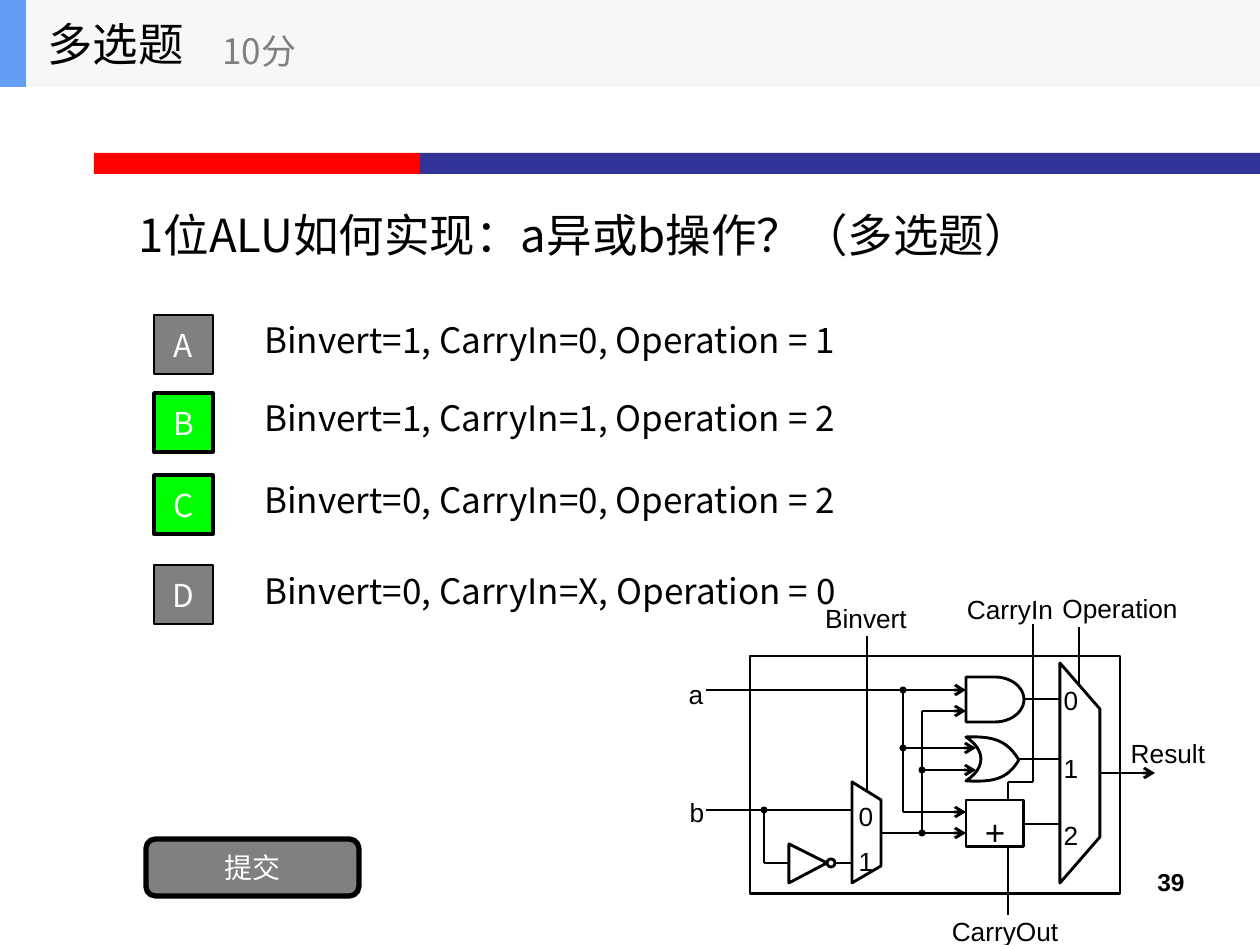
from dataclasses import dataclass

from lxml import etree
from pptx import Presentation
from pptx.dml.color import RGBColor
from pptx.enum.shapes import MSO_CONNECTOR, MSO_SHAPE
from pptx.enum.text import MSO_ANCHOR, MSO_AUTO_SIZE, PP_ALIGN
from pptx.oxml.ns import qn
from pptx.util import Emu, Pt

RECT, ROUND = MSO_SHAPE.RECTANGLE, MSO_SHAPE.ROUNDED_RECTANGLE
OVAL, AND_GATE = MSO_SHAPE.OVAL, MSO_SHAPE.FLOWCHART_DELAY
STRAIGHT = MSO_CONNECTOR.STRAIGHT
TOP, MIDDLE = MSO_ANCHOR.TOP, MSO_ANCHOR.MIDDLE
LEFT, CENTER, RIGHT = PP_ALIGN.LEFT, PP_ALIGN.CENTER, PP_ALIGN.RIGHT
GROW = MSO_AUTO_SIZE.SHAPE_TO_FIT_TEXT
EMU_PER_PX = 914400 / 126


@dataclass(frozen=True)
class Theme:
    cjk: str = "Noto Sans CJK SC"
    latin: str = "Arial"
    ink: str = "000000"
    white: str = "FFFFFF"
    grey: str = "808080"
    correct: str = "00FF00"
    red: str = "FF0000"
    navy: str = "333399"
    header: str = "F6F7F8"
    accent: str = "639EF4"
    heading: int = 26
    body: int = 20
    badge: int = 18
    button: int = 16
    label: int = 15
    page: int = 14
    wire: float = 1.63


THEME = Theme()


def px(value):
    return Emu(round(value * EMU_PER_PX))


def paint(shape, fill=None, line=None, width=1):
    shape.shadow.inherit = False
    if fill:
        shape.fill.solid()
        shape.fill.fore_color.rgb = RGBColor.from_string(fill)
    else:
        shape.fill.background()
    if line:
        shape.line.color.rgb = RGBColor.from_string(line)
        shape.line.width = Pt(width)
    else:
        shape.line.fill.background()


def add_box(shapes, kind, box, fill=None, line=None, width=1):
    shape = shapes.add_shape(kind, *map(px, box))
    paint(shape, fill, line, width)
    return shape


def write(shape, text, size, color=THEME.ink, font=THEME.cjk, align=LEFT,
          anchor=MIDDLE, bold=False):
    frame = shape.text_frame
    frame.text = text
    frame.vertical_anchor = anchor
    paragraph = frame.paragraphs[0]
    paragraph.alignment = align
    run = paragraph.runs[0]
    run.font.size, run.font.bold, run.font.name = Pt(size), bold, font
    run.font.color.rgb = RGBColor.from_string(color)
    east_asian = etree.SubElement(run.font._element, qn("a:ea"))
    east_asian.set("typeface", font)
    return paragraph


def add_text(shapes, box, text, size, wrap=True, **style):
    area = shapes.add_textbox(*map(px, box))
    area.text_frame.word_wrap = wrap
    return write(area, text, size, **style)


def add_label(shapes, center, top, width, text, size=THEME.label):
    """Put a tight one-line caption around a centre x."""
    height = round(size * 2.13)
    area = shapes.add_textbox(*map(px, (center - width / 2, top, width, height)))
    frame = area.text_frame
    frame.margin_left = frame.margin_right = frame.margin_top = frame.margin_bottom = 0
    frame.word_wrap = False
    frame.auto_size = GROW
    write(area, text, size, font=THEME.latin, align=CENTER, anchor=TOP)


def add_wire(shapes, points, arrow=False):
    """Join the points with straight segments; the last may carry an arrowhead."""
    for start, end in zip(points, points[1:]):
        segment = shapes.add_connector(STRAIGHT, *map(px, (*start, *end)))
        segment.line.color.rgb = RGBColor.from_string(THEME.ink)
        segment.line.width = Pt(THEME.wire)
        etree.SubElement(segment._element.spPr, qn("a:effectLst"))
    if arrow:
        outline = segment._element.spPr.find(qn("a:ln"))
        etree.SubElement(outline, qn("a:tailEnd")).set("type", "arrow")


def add_outline(shapes, points):
    corners = [(px(x), px(y)) for x, y in points]
    builder = shapes.build_freeform(*corners[0])
    builder.add_line_segments(corners[1:], close=True)
    paint(builder.convert_to_shape(), line=THEME.ink, width=THEME.wire)


def bezier(a, b, c, d, steps=12):
    """Sample a cubic curve, leaving out its last point."""
    for i in range(steps):
        t = i / steps
        u = 1 - t
        yield tuple(u**3 * p + 3 * u * u * t * q + 3 * u * t * t * r + t**3 * s
                    for p, q, r, s in zip(a, b, c, d))


def draw_header(slide, left, top, width, height):
    shapes = slide.shapes.add_group_shape().shapes
    add_box(shapes, RECT, (left, top, width, height), THEME.header)
    add_box(shapes, RECT, (left, top, 26, height), THEME.accent)
    add_text(shapes, (left + 35, top, 262, height), "多选题", THEME.heading, wrap=False)
    add_text(shapes, (left + 210, top + 15, 315, 71), "10分", THEME.body,
             wrap=False, color=THEME.grey)


def draw_rule(slide, left, top, width, height):
    shapes = slide.shapes.add_group_shape().shapes
    red = 326
    add_box(shapes, RECT, (left, top, red, height), THEME.red)
    add_box(shapes, RECT, (left + red, top, width - red, height), THEME.navy)


def draw_option(slide, left, top, width, height, letter, answer, correct):
    add_text(slide.shapes, (left + 98, top, width - 98, height), answer,
             THEME.body).space_after = Pt(12)
    badge = add_box(slide.shapes, RECT, (left, top + 19, 59, 59),
                    THEME.correct if correct else THEME.grey, THEME.ink, 2 if correct else 1)
    write(badge, letter, THEME.badge, THEME.white, align=CENTER)


def draw_submit(slide, *box):
    button = add_box(slide.shapes, ROUND, box, THEME.grey, THEME.ink, 3)
    write(button, "提交", THEME.button, THEME.white, align=CENTER)


def draw_alu(slide, left, top, width, height):
    """Draw the one-bit ALU; its wires and captions reach beyond the chip box."""
    shapes = slide.shapes.add_group_shape().shapes

    def at(*points):
        return [(left + x, top + y) for x, y in points]

    def part(kind, x, y, w, h, fill=None):
        add_box(shapes, kind, (left + x, top + y, w, h), fill, THEME.ink, THEME.wire)

    part(RECT, 0, 0, width, height)
    part(OVAL, 77, 203, 8, 8)
    part(AND_GATE, 216, 21, 58, 45)
    part(RECT, 216, 144, 58, 47)

    inverter = [(39, 188), (77, 207), (39, 227)]
    invert_mux = [(102, 126), (131, 144), (131, 210), (102, 227)]
    result_mux = [(310, 7), (350, 53), (350, 181), (310, 227)]
    or_gate = [*bezier((216, 81), (243, 80), (257, 84), (269, 104)),
               *bezier((269, 104), (257, 124), (243, 126), (216, 125)),
               *bezier((216, 125), (236, 112), (236, 94), (216, 81))]
    for outline in (inverter, invert_mux, result_mux, or_gate):
        add_outline(shapes, at(*outline))

    a_bus, b_bus, b_tap = 153, 172, 14
    wires = [
        [(-44, 154), (102, 154)],
        [(b_tap, 154), (b_tap, 207), (39, 207)],
        [(85, 207), (102, 207)],
        [(a_bus, 34), (a_bus, 156)],
        [(b_bus, 177), (b_bus, 55)],
        [(274, 43), (310, 43)],
        [(269, 103), (310, 103)],
        [(274, 168), (310, 168)],
        [(117, 134), (117, -20)],
        [(329, 29), (329, -29)],
        [(283, -32), (283, 126), (258, 126), (258, 144)],
        [(258, 191), (258, 259)],
    ]
    for wire in wires:
        add_wire(shapes, at(*wire))
    arrows = [(-44, 216, 34), (b_bus, 216, 55), (a_bus, 226, 92), (b_bus, 226, 114),
              (a_bus, 216, 156), (131, 216, 177), (350, 405, 117)]
    for start, end, y in arrows:
        add_wire(shapes, at((start, y), (end, y)), arrow=True)
    for x, y in [(a_bus, 34), (a_bus, 92), (b_bus, 114), (b_bus, 177), (b_tap, 154)]:
        part(OVAL, x - 2, y - 2, 4, 4, THEME.ink)

    captions = [
        ("0", 116, 144, 15), ("1", 116, 189, 15),
        ("0", 321, 28, 15), ("1", 321, 96, 15), ("2", 321, 163, 15),
        ("a", -54, 22, 15), ("b", -53, 140, 15),
        ("Binvert", 116, -54, 83), ("CarryIn", 260, -63, 87),
        ("Operation", 370, -64, 117), ("Result", 418, 81, 76),
        ("CarryOut", 255, 259, 107),
    ]
    for text, center, y, w in captions:
        add_label(shapes, left + center, top + y, w, text)
    add_label(shapes, left + 245, top + 154, 20, "+", THEME.body)


def main():
    deck = Presentation()
    deck.slide_width, deck.slide_height = px(1260), px(945)
    slide = deck.slides.add_slide(deck.slide_layouts[6])

    draw_rule(slide, 94, 153, 1166, 21)
    add_text(slide.shapes, (904, 861, 293, 65), "39", THEME.page, font=THEME.latin,
             align=RIGHT, anchor=TOP, bold=True)
    add_text(slide.shapes, (126, 87, 1008, 295),
             "1位ALU如何实现：a异或b操作？（多选题）", THEME.heading)
    options = [
        (296, "A", "Binvert=1, CarryIn=0, Operation = 1", False),
        (374, "B", "Binvert=1, CarryIn=1, Operation = 2", True),
        (456, "C", "Binvert=0, CarryIn=0, Operation = 2", True),
        (546, "D", "Binvert=0, CarryIn=X, Operation = 0", False),
    ]
    for top, letter, answer, correct in options:
        draw_option(slide, 154, top, 980, 88, letter, answer, correct)
    draw_submit(slide, 146, 839, 213, 57)
    draw_alu(slide, 750, 656, 370, 238)
    draw_header(slide, 0, 0, 1260, 87)
    deck.save("out.pptx")


if __name__ == "__main__":
    main()
